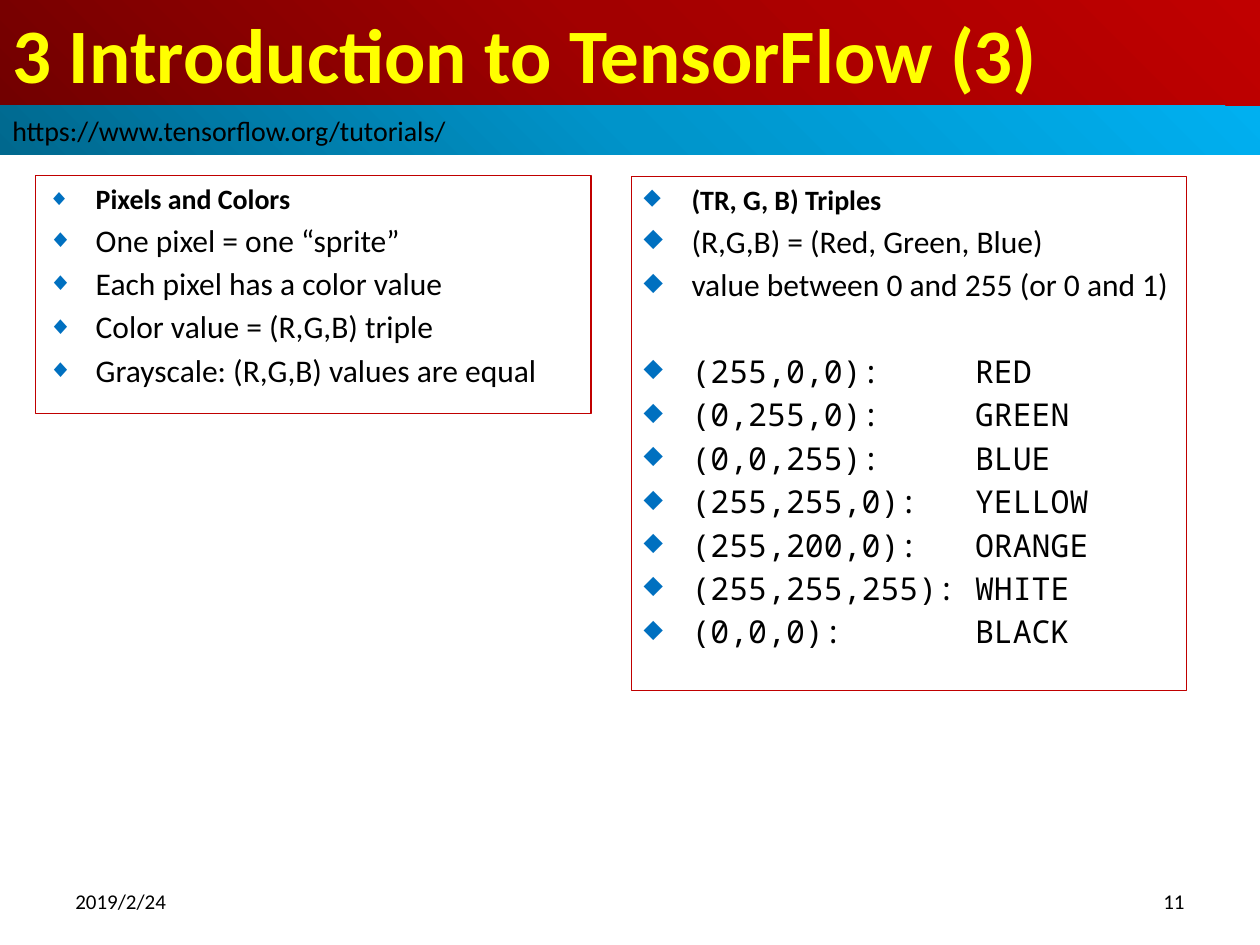
import pptx
import pptx.util
import pptx.dml.color
import pptx.enum.shapes
import pptx.enum.text
import pptx.oxml
import pptx.oxml.ns

Inches, Pt = pptx.util.Inches, pptx.util.Pt
RGBColor = pptx.dml.color.RGBColor
PP_ALIGN, MSO_ANCHOR = pptx.enum.text.PP_ALIGN, pptx.enum.text.MSO_ANCHOR
RECT = pptx.enum.shapes.MSO_SHAPE.RECTANGLE
NS = pptx.oxml.ns.nsdecls("a")

BLACK = RGBColor(0x00, 0x00, 0x00)
YELLOW = RGBColor(0xFF, 0xFF, 0x00)
RED = RGBColor(0xC0, 0x00, 0x00)
BLUE = RGBColor(0x00, 0x70, 0xC0)
RED_STOPS = (RGBColor(0x72, 0x00, 0x00), RGBColor(0xA2, 0x00, 0x00), RED)
BLUE_STOPS = (RGBColor(0x00, 0x68, 0x8E), RGBColor(0x00, 0x94, 0xCA), RGBColor(0x00, 0xB0, 0xF0))
SANS, MONO = "Calibri", "Noto Sans Mono"

TITLE = "3 Introduction to TensorFlow (3)"
LINK = "https://www.tensorflow.org/tutorials/"
DATE, NUMBER = "2019/2/24", "11"
PIXELS = ("Pixels and Colors", [
    "One pixel = one “sprite”",
    "Each pixel has a color value",
    "Color value = (R,G,B) triple",
    "Grayscale: (R,G,B) values are equal",
])
TRIPLES = ("(TR, G, B) Triples", [
    "(R,G,B) = (Red, Green, Blue)",
    "value between 0 and 255 (or 0 and 1)",
])
COLORS = [
    ("(255,0,0):", "RED"),
    ("(0,255,0):", "GREEN"),
    ("(0,0,255):", "BLUE"),
    ("(255,255,0):", "YELLOW"),
    ("(255,200,0):", "ORANGE"),
    ("(255,255,255):", "WHITE"),
    ("(0,0,0):", "BLACK"),
]

WIDTH, HEIGHT = 10, 7.5
TITLE_H, LINK_H = 0.84, 0.39
BOX_W, FOOT_W, FOOT_H = 4.41, 2.33, 0.4
MARGIN, FOOT_TOP = 0.5, 6.95
INDENT, TAB = 0.38, 2.63
GAP, GROUP_GAP = 3.2, 28


def place(s, left, top, width, height):
    s.left, s.top, s.width, s.height = map(Inches, (left, top, width, height))


def add_rect(slide):
    s = slide.shapes.add_shape(RECT, 0, 0, 0, 0)
    s.shadow.inherit = False
    s.line.fill.background()
    return s


def fill_radial(s, colors):
    stops = "".join(
        f'<a:gs pos="{i * 50000}"><a:srgbClr val="{c}"/></a:gs>' for i, c in enumerate(colors))
    grad = pptx.oxml.parse_xml(
        f'<a:gradFill {NS} rotWithShape="1"><a:gsLst>{stops}</a:gsLst><a:path path="circle">'
        '<a:fillToRect t="100000" r="100000"/></a:path></a:gradFill>')
    s.fill.solid()
    solid = s.fill._xPr.find(pptx.oxml.ns.qn("a:solidFill"))
    solid.getparent().replace(solid, grad)


def set_frame(s, anchor):
    tf = s.text_frame
    tf.word_wrap = True
    tf.auto_size = pptx.enum.text.MSO_AUTO_SIZE.NONE
    tf.vertical_anchor = anchor
    return tf


def write(p, text, size, color=BLACK, bold=False, font=SANS, align=PP_ALIGN.LEFT):
    p.alignment = align
    r = p.add_run()
    r.text = text
    r.font.name, r.font.size, r.font.bold = font, Pt(size), bold
    r.font.color.rgb = color


def add_bullet(p, gap, tab=None):
    p.space_before = Pt(gap)
    pPr = p._p.get_or_add_pPr()
    pPr.set("marL", str(Inches(INDENT)))
    pPr.set("indent", str(-Inches(INDENT)))
    parts = [
        f'<a:buClr {NS}><a:srgbClr val="{BLUE}"/></a:buClr>',
        f'<a:buSzPct {NS} val="80000"/>',
        f'<a:buChar {NS} char="◆"/>',
    ]
    if tab:
        parts.append(f'<a:tabLst {NS}><a:tab pos="{Inches(tab)}" algn="l"/></a:tabLst>')
    for part in parts:
        pPr.append(pptx.oxml.parse_xml(part))


def fill_box(s, content, colors=()):
    s.fill.background()
    s.line.color.rgb = RED
    s.line.width = Pt(0.75)
    tf = set_frame(s, MSO_ANCHOR.TOP)
    heading, items = content
    p = tf.paragraphs[0]
    write(p, heading, 16, bold=True)
    add_bullet(p, GAP)
    for item in items:
        p = tf.add_paragraph()
        write(p, item, 18)
        add_bullet(p, GAP)
    for i, row in enumerate(colors):
        p = tf.add_paragraph()
        write(p, "\t".join(row), 18, font=MONO)
        add_bullet(p, GAP if i else GROUP_GAP, TAB)


def main():
    prs = pptx.Presentation()
    prs.slide_width, prs.slide_height = Inches(WIDTH), Inches(HEIGHT)
    slide = prs.slides.add_slide(prs.slide_layouts[0])

    title, pixels = slide.placeholders
    link = add_rect(slide)
    for s, top, height, stops, text, size, color, bold in (
        (title, 0, TITLE_H, RED_STOPS, TITLE, 44, YELLOW, True),
        (link, TITLE_H, LINK_H, BLUE_STOPS, LINK, 16, BLACK, False),
    ):
        place(s, 0, top, WIDTH, height)
        fill_radial(s, stops)
        write(set_frame(s, MSO_ANCHOR.MIDDLE).paragraphs[0], text, size, color, bold)

    place(pixels, 0.28, 1.39, BOX_W, 1.89)
    fill_box(pixels, PIXELS)
    triples = add_rect(slide)
    place(triples, 5.01, 1.4, BOX_W, 4.08)
    fill_box(triples, TRIPLES, COLORS)

    for text, left, align in (
        (DATE, MARGIN, PP_ALIGN.LEFT),
        (NUMBER, WIDTH - MARGIN - FOOT_W, PP_ALIGN.RIGHT),
    ):
        s = slide.shapes.add_textbox(0, 0, 0, 0)
        place(s, left, FOOT_TOP, FOOT_W, FOOT_H)
        write(set_frame(s, MSO_ANCHOR.MIDDLE).paragraphs[0], text, 12, align=align)

    prs.save("out.pptx")


if __name__ == "__main__":
    main()
